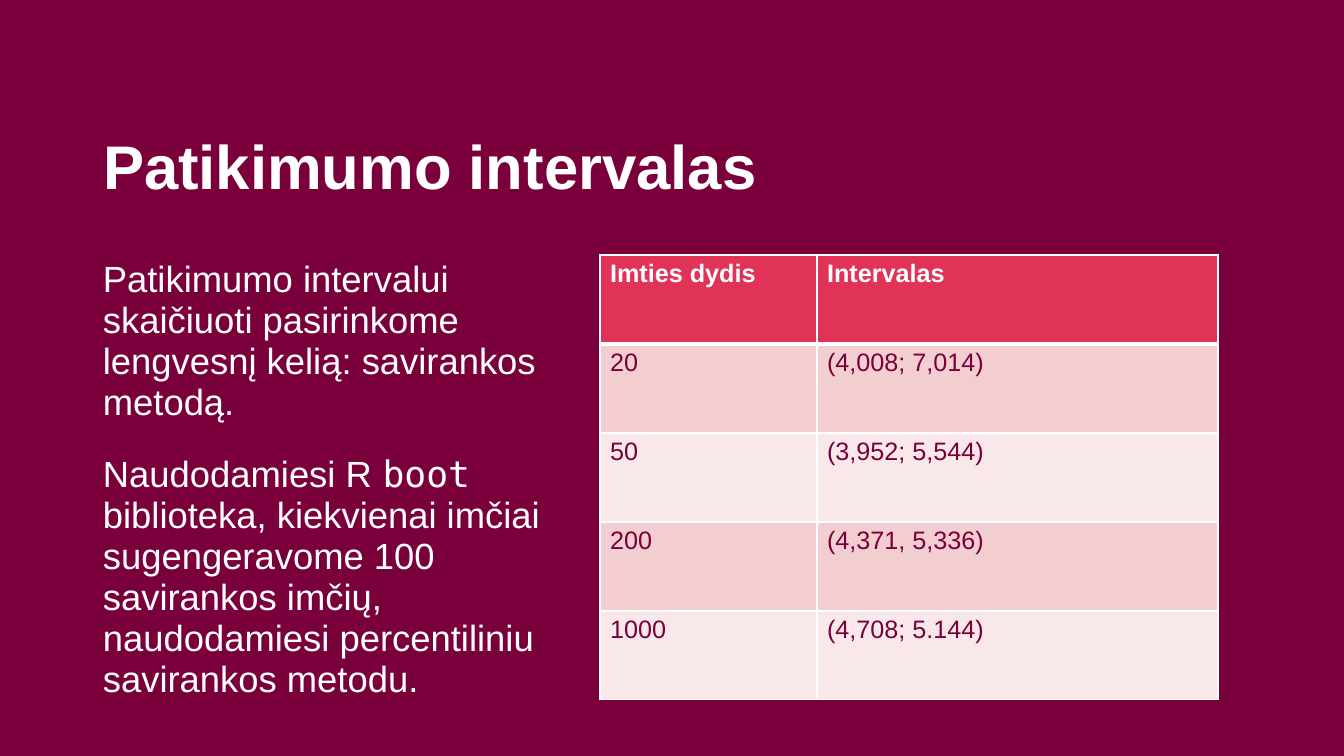
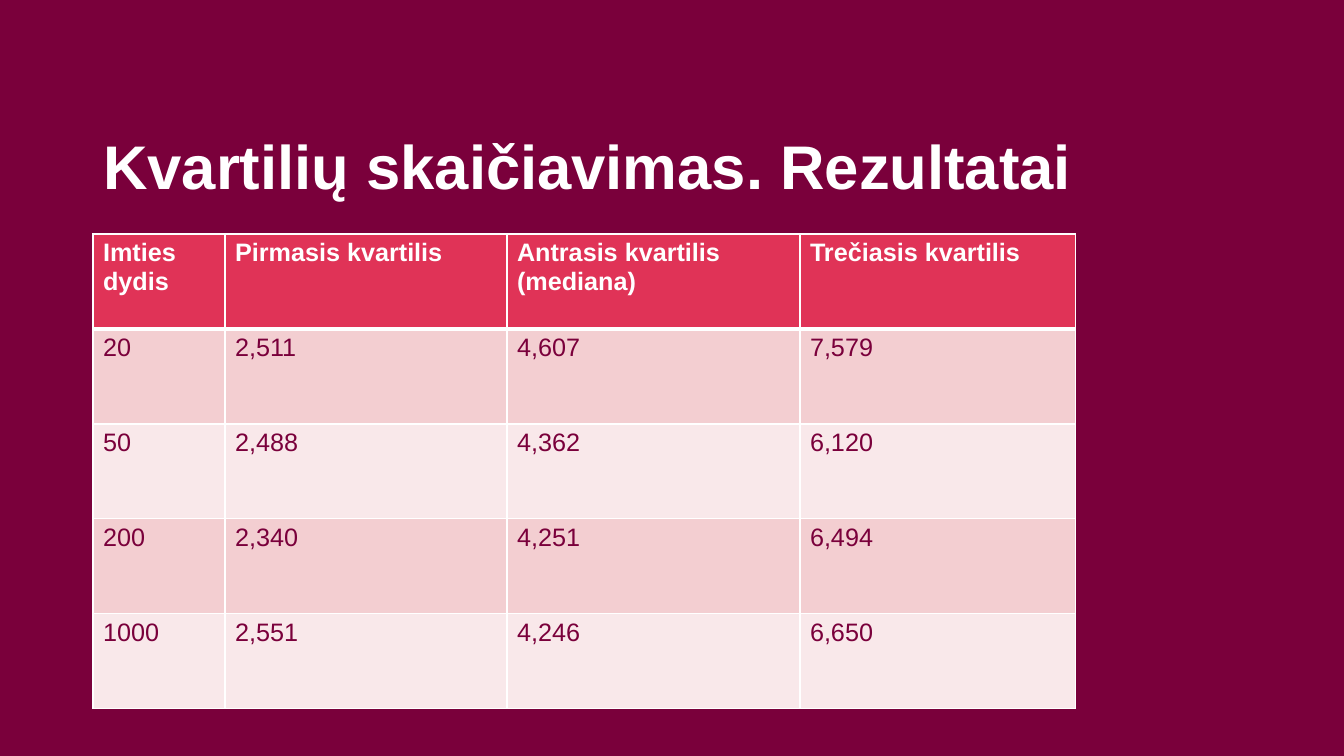
import pptx
import pptx.dml.color
import pptx.enum.text
import pptx.oxml
import pptx.oxml.ns
import pptx.util

PX = 914400 / 100.8
WINE, RED, ROSE, BLUSH, WHITE = "7A003B", "E03357", "F3CED1", "F9E8EA", "FFFFFF"
TITLE = {"name": "Arial", "size": pptx.util.Pt(44), "bold": True}
BODY = {"name": "Arial", "size": pptx.util.Pt(26)}
HEADER = {"name": "Arial", "size": pptx.util.Pt(18), "bold": True}
CELL = {**HEADER, "bold": False}
LEFT = 93

pages = [
    {
        "title": "Patikimumo intervalas",
        "body": [
            ["Patikimumo intervalui skaičiuoti pasirinkome lengvesnį kelią: savirankos metodą."],
            [
                "Naudodamiesi R ",
                "boot",
                " biblioteka, kiekvienai imčiai sugengeravome 100 savirankos imčių, "
                "naudodamiesi percentiliniu savirankos metodu.",
            ],
        ],
        "corner": (600, 255),
        "columns": [217, 401],
        "row_height": 89,
        "rows": [
            ["Imties dydis", "Intervalas"],
            ["20", "(4,008; 7,014)"],
            ["50", "(3,952; 5,544)"],
            ["200", "(4,371, 5,336)"],
            ["1000", "(4,708; 5.144)"],
        ],
    },
    {
        "title": "Kvartilių skaičiavimas. Rezultatai",
        "body": [],
        "corner": (LEFT, 234),
        "columns": [132, 282, 293, 276],
        "row_height": 95,
        "rows": [
            ["Imties dydis", "Pirmasis kvartilis", "Antrasis kvartilis (mediana)", "Trečiasis kvartilis"],
            ["20", "2,511", "4,607", "7,579"],
            ["50", "2,488", "4,362", "6,120"],
            ["200", "2,340", "4,251", "6,494"],
            ["1000", "2,551", "4,246", "6,650"],
        ],
    },
]


def emu(*lengths):
    return [pptx.util.Emu(round(length * PX)) for length in lengths]


def style(font, values, colour):
    for name, value in values.items():
        setattr(font, name, value)
    font.color.rgb = pptx.dml.color.RGBColor.from_string(colour)


deck = pptx.Presentation()
deck.slide_width, deck.slide_height = emu(1344, 756)
backdrop = deck.slide_master.background.fill
backdrop.solid()
backdrop.fore_color.rgb = pptx.dml.color.RGBColor.from_string(WINE)

for content in pages:
    page = deck.slides.add_slide(deck.slide_layouts[5])
    title = page.shapes.title
    title.left, title.top, title.width, title.height = emu(LEFT, 131, 998, 124)
    title.text_frame.text = content["title"]
    title.text_frame.auto_size = pptx.enum.text.MSO_AUTO_SIZE.NONE
    title.text_frame.vertical_anchor = pptx.enum.text.MSO_ANCHOR.TOP
    para = title.text_frame.paragraphs[0]
    para.alignment = pptx.enum.text.PP_ALIGN.LEFT
    para.line_spacing = 0.9
    style(para.runs[0].font, TITLE, WHITE)

    if content["body"]:
        box = page.shapes.add_textbox(*emu(LEFT, 255, 508, 444))
        box.text_frame.word_wrap = True
        for index, texts in enumerate(content["body"]):
            para = box.text_frame.add_paragraph() if index else box.text_frame.paragraphs[0]
            para.line_spacing = 0.94
            para.space_before = pptx.util.Pt(22 if index else 0)
            for text in texts:
                span = para.add_run()
                span.text = text
                style(span.font, BODY, WHITE)
                if text == "boot":
                    span.font.name = "DejaVu Sans Mono"

    rows, columns = content["rows"], content["columns"]
    size = (sum(columns), content["row_height"] * len(rows))
    table = page.shapes.add_table(len(rows), len(columns), *emu(*content["corner"], *size)).table
    for column, width in zip(table.columns, emu(*columns)):
        column.width = width
    for row_index, texts in enumerate(rows):
        table.rows[row_index].height = emu(content["row_height"])[0]
        is_header = row_index == 0
        fill_colour = RED if is_header else (BLUSH, ROSE)[row_index % 2]
        for column_index, text in enumerate(texts):
            cell = table.cell(row_index, column_index)
            cell.text = text
            font = cell.text_frame.paragraphs[0].runs[0].font
            style(font, HEADER if is_header else CELL, WHITE if is_header else WINE)
            properties = cell._tc.get_or_add_tcPr()
            for side in "LRTB":
                thick = (row_index, side) in [(0, "B"), (1, "T")]
                properties.append(pptx.oxml.parse_xml(
                    f'<a:ln{side} {pptx.oxml.ns.nsdecls("a")} w="{pptx.util.Pt(3 if thick else 1)}">'
                    f'<a:solidFill><a:srgbClr val="{WHITE}"/></a:solidFill></a:ln{side}>'
                ))
            cell.fill.solid()
            cell.fill.fore_color.rgb = pptx.dml.color.RGBColor.from_string(fill_colour)

deck.save("out.pptx")
